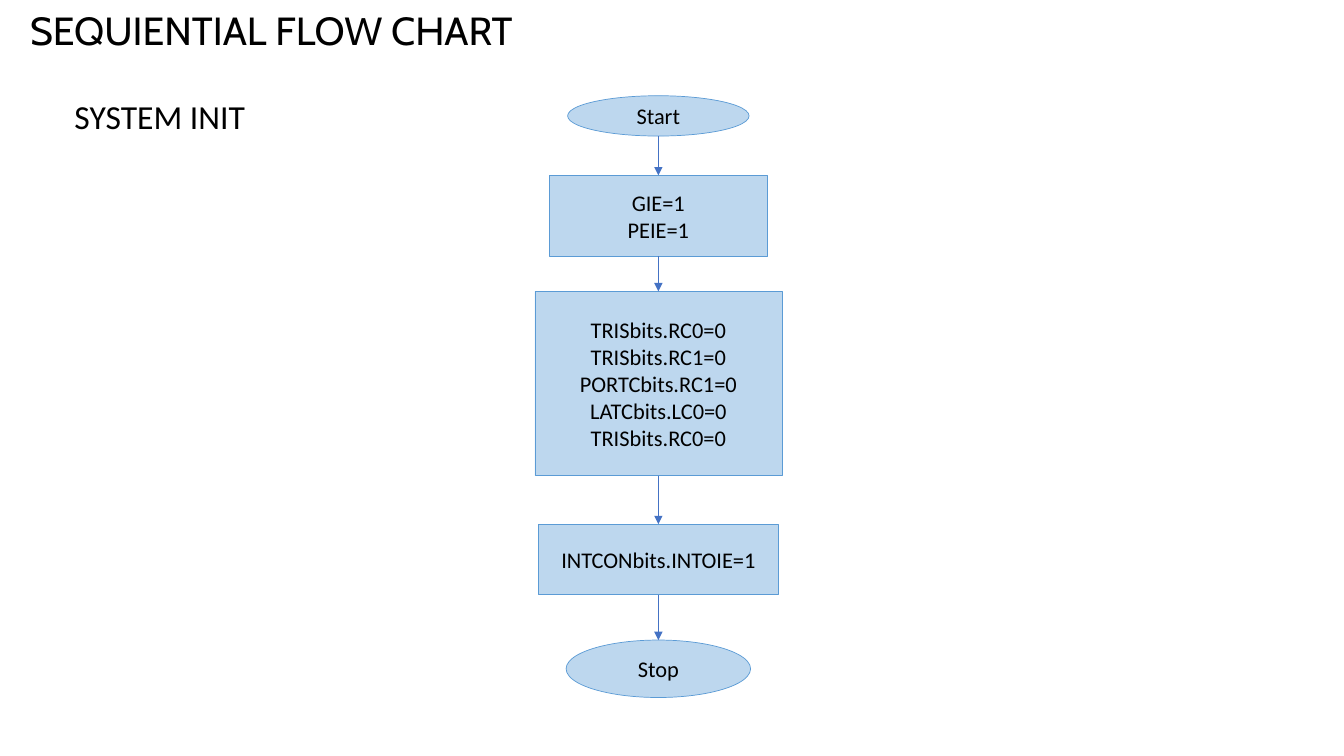
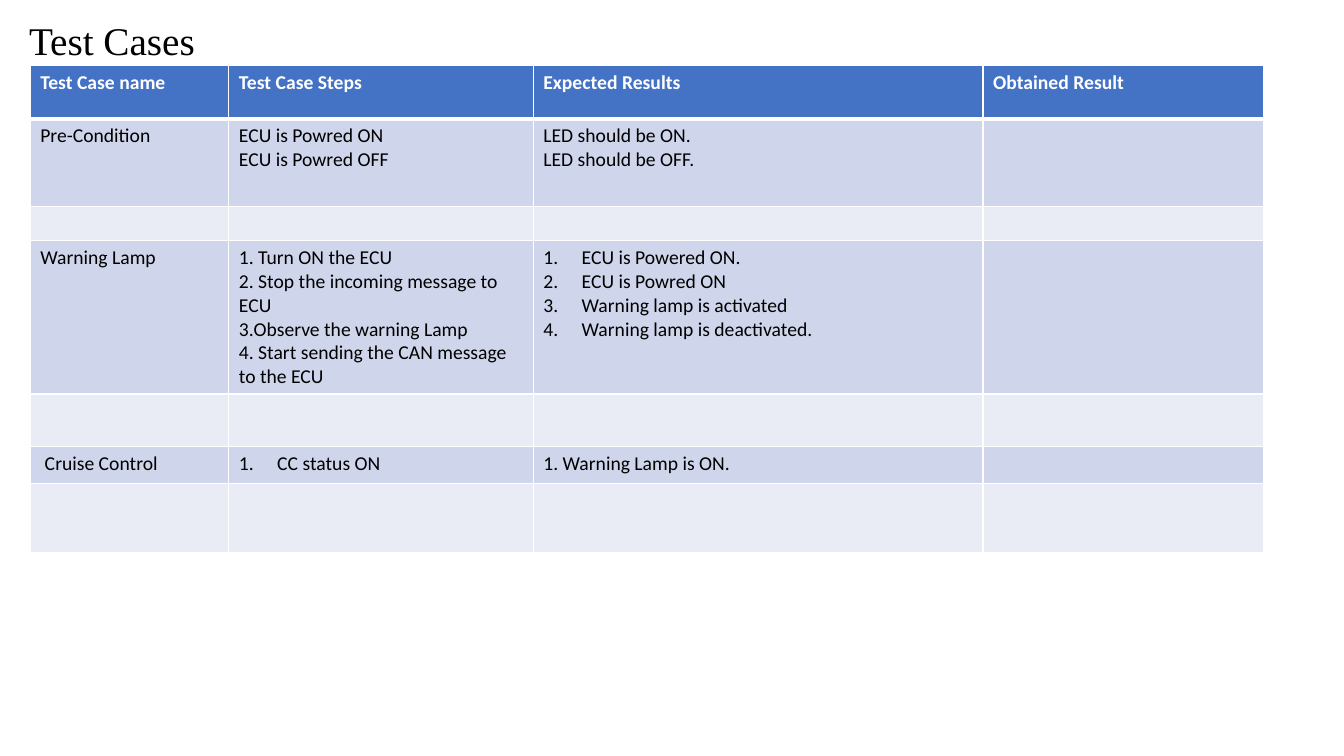
from itertools import pairwise

from pptx import Presentation
from pptx.dml.color import RGBColor
from pptx.enum.shapes import MSO_CONNECTOR, MSO_SHAPE
from pptx.enum.text import MSO_ANCHOR, PP_ALIGN
from pptx.oxml.ns import qn
from pptx.oxml.xmlchemy import OxmlElement
from pptx.util import Inches, Pt

OVAL, BOX = MSO_SHAPE.OVAL, MSO_SHAPE.RECTANGLE
STRAIGHT = MSO_CONNECTOR.STRAIGHT
CENTER, MIDDLE, TOP = PP_ALIGN.CENTER, MSO_ANCHOR.MIDDLE, MSO_ANCHOR.TOP
TOP_SITE, BOTTOM_SITE = 0, 2

THEME = {
    "black": "000000",
    "white": "FFFFFF",
    "accent": "4472C4",
    "node_fill": "BDD7EE",
    "node_line": "5B9BD5",
    "bands": ("CFD5EA", "E9EBF5"),
    "thin_line": 0.5,
    "cell_line": 1,
    "header_line": 3,
    "flow_title": {"name": "Cabin", "size": Pt(28)},
    "table_title": {"name": "Times New Roman", "size": Pt(28)},
    "subtitle": {"name": "Calibri", "size": Pt(24)},
    "node": {"name": "Calibri", "size": Pt(16)},
    "header": {"name": "Calibri", "size": Pt(14), "bold": True},
    "cell": {"name": "Calibri", "size": Pt(14), "bold": False},
}

FLOW_CENTER = 6.53
FLOW_NODES = [
    (OVAL, 0.95, 1.8, 0.4, ["Start"]),
    (BOX, 1.74, 2.16, 0.8, ["GIE=1", "PEIE=1"]),
    (BOX, 2.89, 2.45, 1.83, [
        "TRISbits.RC0=0",
        "TRISbits.RC1=0",
        "PORTCbits.RC1=0",
        "LATCbits.LC0=0",
        "TRISbits.RC0=0",
    ]),
    (BOX, 5.2, 2.38, 0.7, ["INTCONbits.INTOIE=1"]),
    (OVAL, 6.35, 1.83, 0.57, ["Stop"]),
]

TABLE_LEFT, TABLE_TOP = 0.3, 0.65
COLUMN_WIDTHS = [1.97, 3.02, 4.46, 2.78]
ROW_HEIGHTS = [0.53, 0.87, 0.34, 1.52, 0.52, 0.37, 0.68]
TEST_CASES = [
    (["Test Case name"], ["Test Case Steps"], ["Expected Results"], ["Obtained Result"]),
    (
        ["Pre-Condition"],
        ["ECU is Powred ON", "ECU is Powred OFF"],
        ["LED should be ON.", "LED should be OFF."],
        [],
    ),
    ([], [], [], []),
    (
        ["Warning Lamp"],
        [
            "1. Turn ON the ECU",
            "2. Stop the incoming message to ECU",
            "3.Observe the warning Lamp",
            "4. Start sending the CAN message to the ECU",
        ],
        [
            "ECU is Powered ON.",
            "ECU is Powred ON",
            "Warning lamp is activated",
            "Warning lamp is deactivated.",
        ],
        [],
    ),
    ([], [], [], []),
    ([" Cruise Control"], ["CC status ON"], ["1. Warning Lamp is ON."], []),
    ([], [], [], []),
]
NUMBERED_CELLS = {(3, 2), (5, 1)}
NUMBER_INDENT = 0.38


def color(value):
    return RGBColor.from_string(value)


def add_element(parent, tag, **attributes):
    element = OxmlElement(tag)
    for name, value in attributes.items():
        element.set(name, str(value))
    parent.append(element)
    return element


def number_paragraph(paragraph):
    properties = paragraph._p.get_or_add_pPr()
    indent = Inches(NUMBER_INDENT)
    properties.set("marL", str(indent))
    properties.set("indent", str(-indent))
    add_element(properties, "a:buAutoNum", type="arabicPeriod")


def write_lines(frame, lines, font_format, font_color, alignment=None, numbered=False):
    for index, line in enumerate(lines):
        paragraph = frame.add_paragraph() if index else frame.paragraphs[0]
        paragraph.alignment = alignment
        if numbered:
            number_paragraph(paragraph)
        run = paragraph.add_run()
        run.text = line
        for name, value in font_format.items():
            setattr(run.font, name, value)
        run.font.color.rgb = color(font_color)


def add_text(slide, position, text, font_format):
    box = slide.shapes.add_textbox(*map(Inches, position))
    frame = box.text_frame
    frame.word_wrap = True
    frame.vertical_anchor = TOP
    write_lines(frame, [text], font_format, THEME["black"])
    return frame


def add_node(slide, kind, top, width, height, lines):
    left = FLOW_CENTER - width / 2
    shape = slide.shapes.add_shape(kind, *map(Inches, (left, top, width, height)))
    shape.shadow.inherit = False
    shape.fill.solid()
    shape.fill.fore_color.rgb = color(THEME["node_fill"])
    shape.line.color.rgb = color(THEME["node_line"])
    shape.line.width = Pt(THEME["thin_line"])
    shape.text_frame.vertical_anchor = MIDDLE
    write_lines(shape.text_frame, lines, THEME["node"], THEME["black"], CENTER)
    return shape


def add_arrow(slide, upper, lower):
    center = Inches(FLOW_CENTER)
    arrow = slide.shapes.add_connector(
        STRAIGHT, center, upper.top + upper.height, center, lower.top
    )
    if upper.auto_shape_type == BOX:
        arrow.begin_connect(upper, BOTTOM_SITE)
    arrow.end_connect(lower, TOP_SITE)
    arrow.line.color.rgb = color(THEME["accent"])
    arrow.line.width = Pt(THEME["thin_line"])
    properties = arrow.element.spPr
    add_element(properties.find(qn("a:ln")), "a:tailEnd", type="triangle")
    add_element(properties, "a:effectLst")


def add_borders(cell, row):
    properties = cell._tc.get_or_add_tcPr()
    heavy_side = {0: "B", 1: "T"}.get(row)
    for side in "LRTB":
        width = THEME["header_line" if side == heavy_side else "cell_line"]
        line = add_element(properties, f"a:ln{side}", w=Pt(width))
        fill = add_element(line, "a:solidFill")
        add_element(fill, "a:srgbClr", val=THEME["white"])


def fill_cell(cell, row, column, lines):
    is_header = row == 0
    add_borders(cell, row)
    cell.fill.solid()
    fill = THEME["accent"] if is_header else THEME["bands"][(row - 1) % 2]
    cell.fill.fore_color.rgb = color(fill)
    font_format = THEME["header" if is_header else "cell"]
    font_color = THEME["white" if is_header else "black"]
    numbered = (row, column) in NUMBERED_CELLS
    write_lines(cell.text_frame, lines, font_format, font_color, numbered=numbered)
    if not lines:
        size = int(font_format["size"].pt * 100)
        add_element(cell.text_frame.paragraphs[0]._p, "a:endParaRPr", sz=size)


def build_flow_slide(slide):
    add_text(slide, (0.2, 0.01, 5.21, 0.57), "SEQUIENTIAL FLOW CHART", THEME["flow_title"])
    add_text(slide, (0.64, 0.9, 2.16, 0.5), "SYSTEM INIT", THEME["subtitle"])
    nodes = [add_node(slide, *node) for node in FLOW_NODES]
    for upper, lower in pairwise(nodes):
        add_arrow(slide, upper, lower)


def build_table_slide(slide):
    title = add_text(slide, (0.19, 0.17, 3.67, 0.67), "Test Cases", THEME["table_title"])
    title.paragraphs[0].line_spacing = 0.9
    size = (sum(COLUMN_WIDTHS), sum(ROW_HEIGHTS))
    table = slide.shapes.add_table(
        len(ROW_HEIGHTS), len(COLUMN_WIDTHS), *map(Inches, (TABLE_LEFT, TABLE_TOP, *size))
    ).table
    for column, width in zip(table.columns, COLUMN_WIDTHS):
        column.width = Inches(width)
    for row, height in zip(table.rows, ROW_HEIGHTS):
        row.height = Inches(height)
    for row, cells in enumerate(TEST_CASES):
        for column, lines in enumerate(cells):
            fill_cell(table.cell(row, column), row, column, lines)


def main():
    presentation = Presentation()
    presentation.slide_width = Inches(13.33)
    presentation.slide_height = Inches(7.5)
    blank = presentation.slide_layouts[6]
    for build in (build_flow_slide, build_table_slide):
        build(presentation.slides.add_slide(blank))
    presentation.save("out.pptx")


if __name__ == "__main__":
    main()
